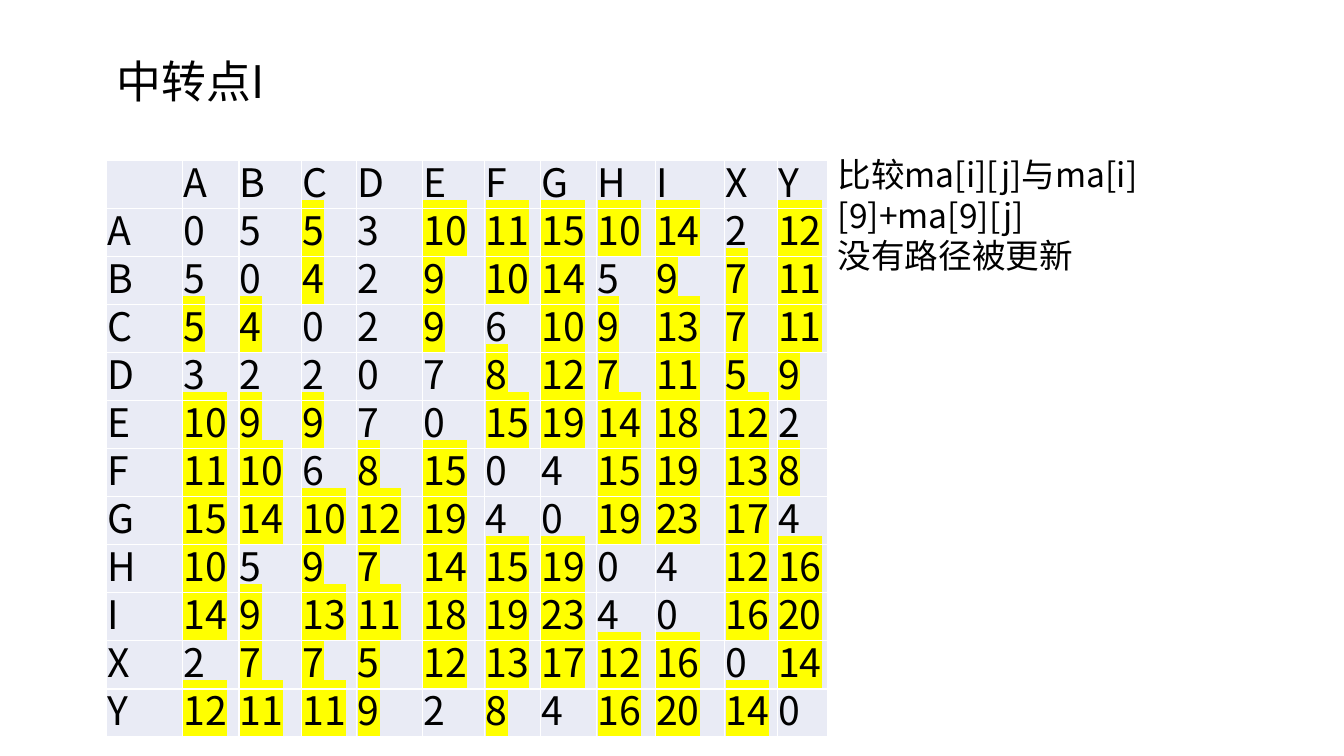
from typing import NamedTuple

from lxml import etree
from pptx import Presentation
from pptx.dml.color import RGBColor
from pptx.enum.text import MSO_ANCHOR, MSO_AUTO_SIZE, PP_ALIGN
from pptx.oxml.ns import qn
from pptx.util import Pt

LEFT = PP_ALIGN.LEFT
TOP, BOTTOM = MSO_ANCHOR.TOP, MSO_ANCHOR.BOTTOM
NO_AUTOFIT = MSO_AUTO_SIZE.NONE
TITLE_ONLY = 5

FONT = "Noto Sans CJK SC"
BLACK, WHITE, YELLOW, CELL_FILL = "000000", "FFFFFF", "FFFF00", "E9EBF5"
EMU_PER_PX = 9144  # 100 px to the inch

NODES = "ABCDEFGHIXY"
DISTANCES = [
    [0, 5, 5, 3, 10, 11, 15, 10, 14, 2, 12],
    [5, 0, 4, 2, 9, 10, 14, 5, 9, 7, 11],
    [5, 4, 0, 2, 9, 6, 10, 9, 13, 7, 11],
    [3, 2, 2, 0, 7, 8, 12, 7, 11, 5, 9],
    [10, 9, 9, 7, 0, 15, 19, 14, 18, 12, 2],
    [11, 10, 6, 8, 15, 0, 4, 15, 19, 13, 8],
    [15, 14, 10, 12, 19, 4, 0, 19, 23, 17, 4],
    [10, 5, 9, 7, 14, 15, 19, 0, 4, 12, 16],
    [14, 9, 13, 11, 18, 19, 23, 4, 0, 16, 20],
    [2, 7, 7, 5, 12, 13, 17, 12, 16, 0, 14],
    [12, 11, 11, 9, 2, 8, 4, 16, 20, 14, 0],
]
DIRECT_EDGES = {"AB", "AD", "AX", "BD", "BH", "CD", "CF", "DE", "EY", "FG", "GY", "HI"}
COLUMN_WIDTHS = [75, 56, 62, 55, 65, 62, 55, 56, 58, 69, 52, 50]
ROW_HEIGHT = 44
CELL_LINE_SPACING = Pt(33.6)


class Area(NamedTuple):
    left: int
    top: int
    width: int
    height: int


TITLE_AREA = Area(106, 48, 577, 64)
NOTE_AREA = Area(821, 148, 424, 131)
TABLE_AREA = Area(106, 159, sum(COLUMN_WIDTHS), ROW_HEIGHT * (len(NODES) + 1))


def px(length: int) -> int:
    return length * EMU_PER_PX


def color(value: str) -> RGBColor:
    return RGBColor.from_string(value)


def set_all(target, values: dict) -> None:
    for name, value in values.items():
        setattr(target, name, value)


def add_color_element(parent, tag: str, value: str):
    element = etree.SubElement(parent, qn(tag))
    etree.SubElement(element, qn("a:srgbClr"), val=value)
    return element


def write(para, text: str, size: int, highlight: str = "") -> None:
    para.alignment = LEFT
    span = para.add_run()
    span.text = text
    set_all(span.font, {"size": Pt(size), "name": FONT})
    span.font.color.rgb = color(BLACK)
    properties = span.font._element
    latin = properties.find(qn("a:latin"))
    latin.addnext(etree.Element(qn("a:ea"), typeface=FONT))
    if highlight:
        latin.addprevious(add_color_element(properties, "a:highlight", highlight))


def fill_box(box, area: Area, lines: list[str], size: int) -> None:
    set_all(box, dict(zip(area._fields, map(px, area))))
    frame = box.text_frame
    set_all(frame, {"word_wrap": True, "auto_size": NO_AUTOFIT, "vertical_anchor": TOP})
    for index, line in enumerate(lines):
        para = frame.add_paragraph() if index else frame.paragraphs[0]
        write(para, line, size)


def add_borders(cell) -> None:
    properties = cell._tc.get_or_add_tcPr()
    for index, side in enumerate(("a:lnL", "a:lnR", "a:lnT", "a:lnB")):
        line = etree.Element(qn(side), w=str(Pt(1)))
        add_color_element(line, "a:solidFill", WHITE)
        properties.insert(index, line)


def is_derived(start: str, end: str) -> bool:
    """Tell whether a distance runs through other nodes."""
    return start != end and "".join(sorted(start + end)) not in DIRECT_EDGES


def add_distance_table(page) -> None:
    size = len(NODES) + 1
    table = page.shapes.add_table(size, size, *map(px, TABLE_AREA)).table
    set_all(table, {"first_row": False, "horz_banding": False})
    for column, width in zip(table.columns, COLUMN_WIDTHS):
        column.width = px(width)
    rows = [["", *NODES]] + [[node, *values] for node, values in zip(NODES, DISTANCES)]
    for row_index, values in enumerate(rows):
        for column_index, value in enumerate(values):
            cell = table.cell(row_index, column_index)
            set_all(cell, {"margin_left": px(1), "margin_right": px(1), "margin_top": px(1),
                           "margin_bottom": 0, "vertical_anchor": BOTTOM})
            cell.fill.solid()
            cell.fill.fore_color.rgb = color(CELL_FILL)
            add_borders(cell)
            if value == "":
                continue
            derived = (row_index and column_index
                       and is_derived(NODES[row_index - 1], NODES[column_index - 1]))
            para = cell.text_frame.paragraphs[0]
            para.line_spacing = CELL_LINE_SPACING
            write(para, str(value), 28, YELLOW if derived else "")


def main() -> None:
    deck = Presentation()
    set_all(deck, {"slide_width": px(1333), "slide_height": px(750)})
    page = deck.slides.add_slide(deck.slide_layouts[TITLE_ONLY])
    fill_box(page.shapes.title, TITLE_AREA, ["中转点I"], 32)
    note = page.shapes.add_textbox(*map(px, NOTE_AREA))
    fill_box(note, NOTE_AREA, ["比较ma[i][j]与ma[i][9]+ma[9][j]", "没有路径被更新"], 24)
    add_distance_table(page)
    deck.save("out.pptx")


if __name__ == "__main__":
    main()
